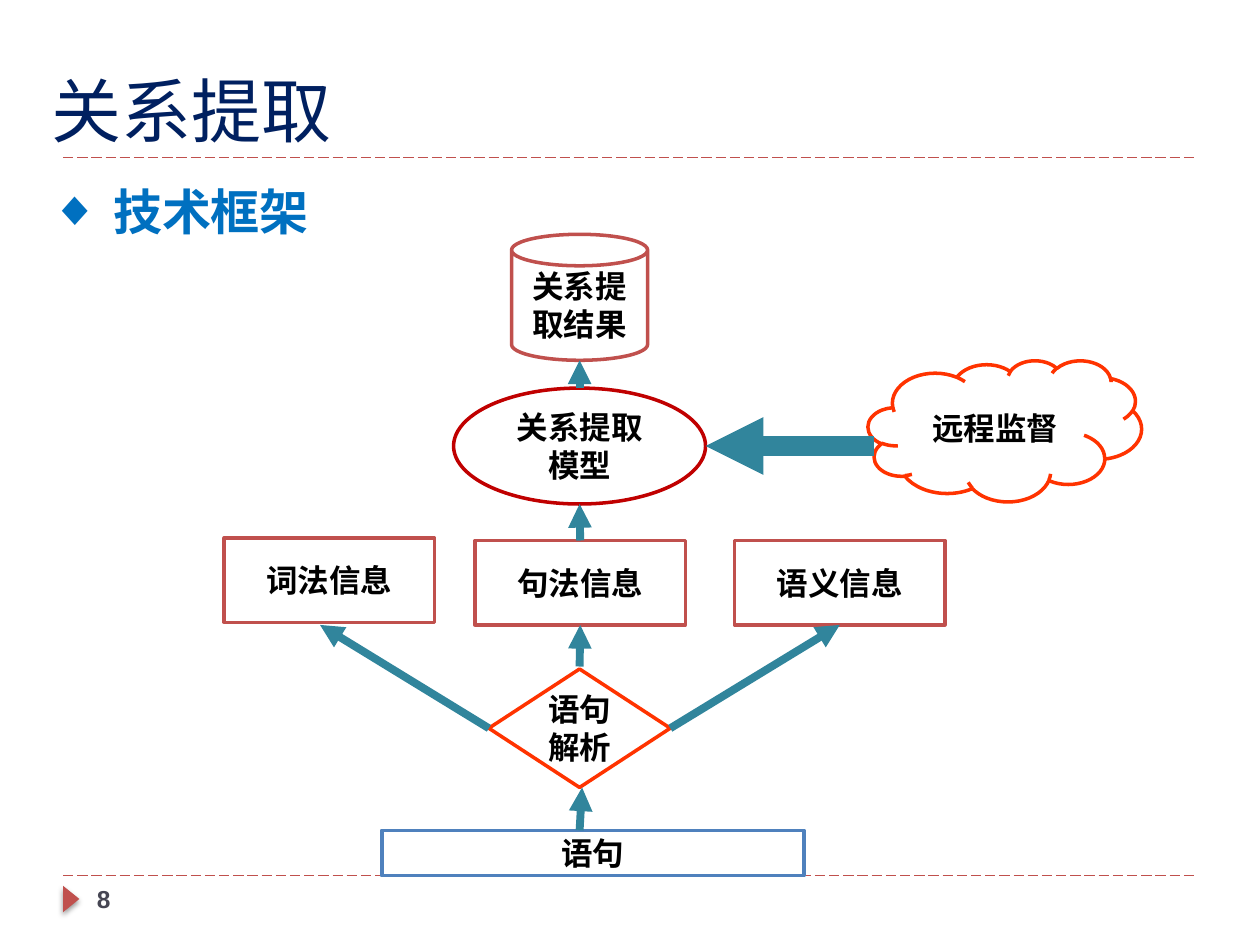
from lxml.etree import SubElement
from pptx import Presentation
from pptx.dml.color import RGBColor
from pptx.enum.dml import MSO_LINE
from pptx.enum.shapes import MSO_CONNECTOR, MSO_SHAPE
from pptx.enum.text import MSO_ANCHOR, PP_ALIGN
from pptx.oxml import parse_xml
from pptx.oxml.ns import nsdecls, qn
from pptx.util import Inches, Pt

COLORS = {
    "title": "002060", "heading": "0070C0", "number": "464653",
    "text": "000000", "white": "FFFFFF", "red": "C0504D",
    "dark_red": "C00000", "orange": "FF3300", "blue": "4F81BD",
    "teal": "31859C",
}
CJK = "Noto Sans CJK SC"


def write(s, text, size, color, font, bold=False):
    """Fill a shape with one formatted paragraph and return the paragraph."""
    tf = s.text_frame
    tf.word_wrap = True
    tf.text = text
    p = tf.paragraphs[0]
    r = p.runs[0]
    r.font.size = Pt(size)
    r.font.bold = bold
    r.font.name = font
    r.font.color.rgb = RGBColor.from_string(COLORS[color])
    if font != "Arial":
        SubElement(r.font._element, qn("a:ea"), typeface=font)
    return p


def add_line(x1, y1, x2, y2, color, width):
    line = slide.shapes.add_connector(
        MSO_CONNECTOR.STRAIGHT, Inches(x1), Inches(y1), Inches(x2), Inches(y2))
    line.line.color.rgb = RGBColor.from_string(COLORS[color])
    line.line.width = Pt(width)
    SubElement(line._element.spPr, qn("a:effectLst"))
    return line


prs = Presentation()
prs.slide_width, prs.slide_height = Inches(10), Inches(7.5)
slide = prs.slides.add_slide(prs.slide_layouts[6])

# Page frame: dashed rules and the marker beside the page number
for y in (6.95, 1.25):
    add_line(0.5, y, 9.5, y, "red", 0.75).line.dash_style = MSO_LINE.LONG_DASH

marker = slide.shapes.add_shape(
    MSO_SHAPE.ISOSCELES_TRIANGLE, Inches(0.46), Inches(7.07), Inches(0.21), Inches(0.13))
marker.rotation = 90
marker.fill.solid()
marker.fill.fore_color.rgb = RGBColor.from_string(COLORS["red"])
marker.line.fill.background()
marker._element.spPr.append(parse_xml(
    f'<a:effectLst {nsdecls("a")}>'
    '<a:outerShdw blurRad="38100" dist="25400" dir="5400000" rotWithShape="0">'
    '<a:srgbClr val="000000"><a:alpha val="40000"/></a:srgbClr>'
    '</a:outerShdw></a:effectLst>'))

# Title, page number and heading
texts = [
    ("关系提取", 0.31, 0.17, 9, 1.08, 40, "title", "Arial", False),
    ("8", 0.67, 6.97, 2.17, 0.4, 14, "number", "Arial", True),
    ("技术框架", 0.3, 1.39, 8.27, 0.9, 28, "heading", "Noto Sans CJK JP", True),
]
for text, x, y, w, h, size, color, font, bold in texts:
    s = slide.shapes.add_textbox(Inches(x), Inches(y), Inches(w), Inches(h))
    p = write(s, text, size, color, font, bold)
    if text == "关系提取":
        s.text_frame.vertical_anchor = MSO_ANCHOR.BOTTOM

# The heading, written last, carries the bullet
pPr = p._p.get_or_add_pPr()
pPr.set("marL", str(Inches(0.5)))
pPr.set("indent", str(Inches(-0.5)))
bullet_color = SubElement(pPr, qn("a:buClr"))
SubElement(bullet_color, qn("a:srgbClr"), val=COLORS["heading"])
SubElement(pPr, qn("a:buFont"), typeface="Arial")
SubElement(pPr, qn("a:buChar"), char="◆")

# Framework nodes
nodes = [
    ("词法信息", MSO_SHAPE.RECTANGLE, 1.78, 4.27, 1.67, 0.67, "red"),
    ("句法信息", MSO_SHAPE.RECTANGLE, 3.77, 4.29, 1.67, 0.67, "red"),
    ("语义信息", MSO_SHAPE.RECTANGLE, 5.83, 4.29, 1.67, 0.67, "red"),
    ("语句", MSO_SHAPE.RECTANGLE, 3.03, 6.59, 3.35, 0.36, "blue"),
    ("语句解析", MSO_SHAPE.DIAMOND, 3.88, 5.31, 1.44, 0.94, "orange"),
    ("关系提取模型", MSO_SHAPE.OVAL, 3.6, 3.08, 2, 0.92, "dark_red"),
    ("关系提取结果", MSO_SHAPE.CAN, 4.06, 1.86, 1.08, 1, "red"),
    ("远程监督", MSO_SHAPE.CLOUD, 6.89, 2.86, 2.17, 1.12, "orange"),
]
shapes = {}
for text, kind, x, y, w, h, color in nodes:
    s = slide.shapes.add_shape(kind, Inches(x), Inches(y), Inches(w), Inches(h))
    s.shadow.inherit = False
    s.fill.solid()
    s.fill.fore_color.rgb = RGBColor.from_string(COLORS["white"])
    s.line.color.rgb = RGBColor.from_string(COLORS[color])
    s.line.width = Pt(2)
    s.text_frame.vertical_anchor = MSO_ANCHOR.MIDDLE
    write(s, text, 18, "text", CJK, True).alignment = PP_ALIGN.CENTER
    shapes[text] = s

# Arrows: ends, width, then the (node, side) joined at the start and at the end
arrows = [
    (4.6, 6.59, 4.62, 6.25, 4.5, None, None),
    (3.88, 5.78, 2.54, 4.96, 4.5, ("语句解析", 1), None),
    (4.6, 5.29, 4.6, 4.96, 4.5, None, ("句法信息", 2)),
    (5.32, 5.78, 6.66, 4.96, 4.5, ("语句解析", 3), ("语义信息", 2)),
    (4.6, 4.29, 4.6, 4, 4.5, ("句法信息", 0), None),
    (4.6, 3.08, 4.6, 2.86, 4.5, None, None),
    (6.94, 3.54, 5.6, 3.54, 11, None, None),
]
for x1, y1, x2, y2, width, start, end in arrows:
    arrow = add_line(x1, y1, x2, y2, "teal", width)
    SubElement(arrow.line._get_or_add_ln(), qn("a:tailEnd"), type="triangle")
    if start:
        arrow.begin_connect(shapes[start[0]], start[1])
    if end:
        arrow.end_connect(shapes[end[0]], end[1])

prs.save("out.pptx")
